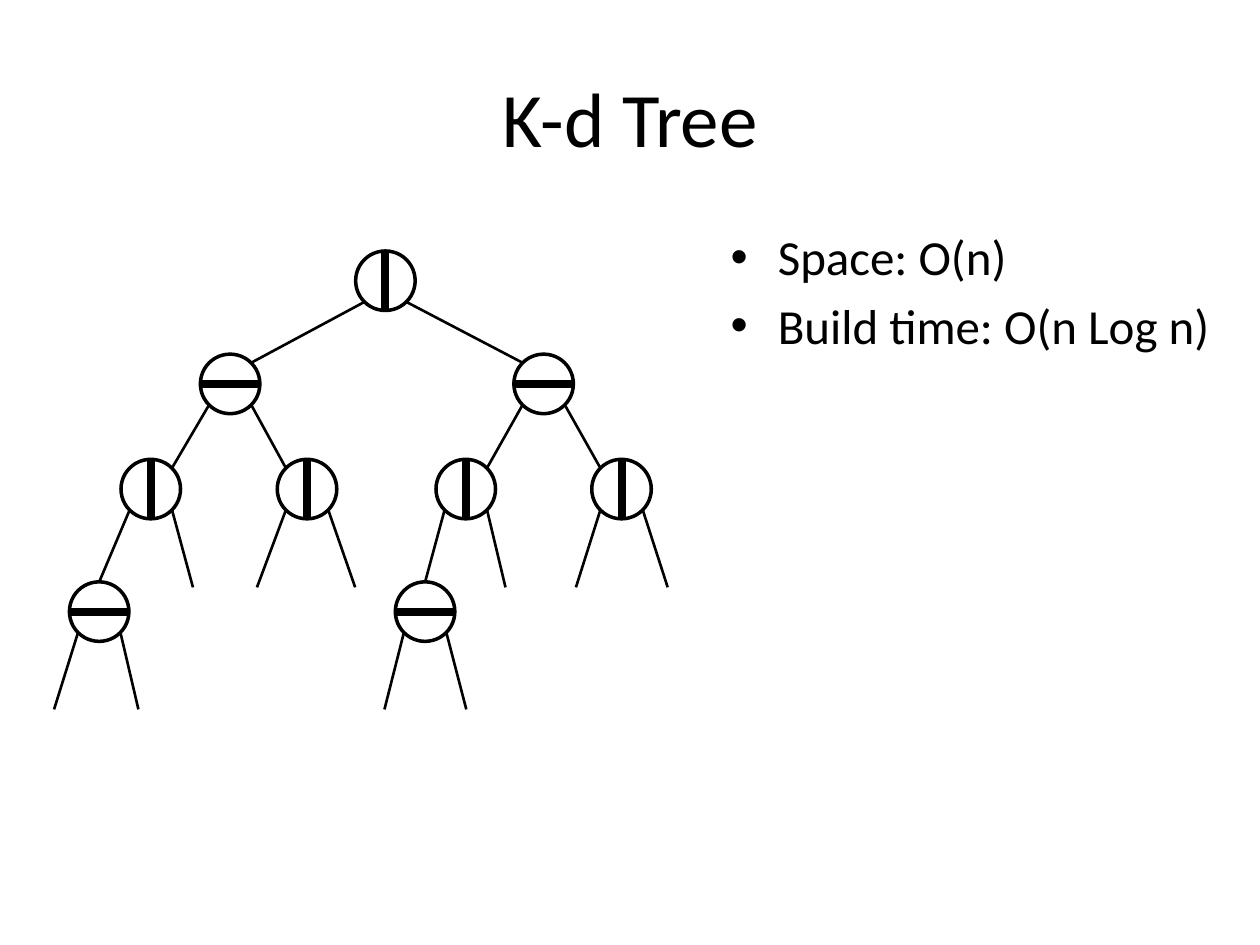
from lxml import etree
from pptx import Presentation
from pptx.dml.color import RGBColor
from pptx.enum.shapes import MSO_CONNECTOR, MSO_SHAPE
from pptx.enum.text import MSO_ANCHOR, PP_ALIGN
from pptx.oxml.ns import qn
from pptx.util import Cm, Pt

LINE = MSO_CONNECTOR.STRAIGHT
CIRCLE = MSO_SHAPE.OVAL
MIDDLE = MSO_ANCHOR.MIDDLE
CENTER = PP_ALIGN.CENTER
LEFT = PP_ALIGN.LEFT

BLACK = RGBColor(0x00, 0x00, 0x00)
FONT = "Calibri"
TITLE_ONLY = 5

RADIUS = 0.6
DIAGONAL = 0.43
LEVEL_Y = [5.66, 7.74, 9.86, 12.33]
LEAF_Y = {2: 11.84, 3: 14.3}

TREE = (7.77, [
    (4.64, [
        (3.04, [(2.0, [1.09, 2.79]), 3.89]),
        (6.19, [5.18, 7.16]),
    ]),
    (10.96, [
        (9.39, [(8.57, [7.75, 9.4]), 10.19]),
        (12.53, [11.61, 13.46]),
    ]),
])
BULLETS = ["Space: O(n)", "Build time: O(n Log n)"]


def format_font(font, size):
    values = {"name": FONT, "size": Pt(size), "bold": False}
    for name, value in values.items():
        setattr(font, name, value)
    font.color.rgb = BLACK


def place(shape, left, top, width, height):
    values = {"left": left, "top": top, "width": width, "height": height}
    for name, value in values.items():
        setattr(shape, name, Cm(value))


def add_line(shapes, start, end, weight):
    line = shapes.add_connector(LINE, *(Cm(value) for value in start + end))
    line.line.color.rgb = BLACK
    line.line.width = Pt(weight)
    etree.SubElement(line._element.spPr, qn("a:effectLst"))


def add_node(page, x, y, vertical):
    group = page.shapes.add_group_shape()
    circle = group.shapes.add_shape(
        CIRCLE, Cm(x - RADIUS), Cm(y - RADIUS), Cm(2 * RADIUS), Cm(2 * RADIUS))
    circle.shadow.inherit = False
    circle.fill.background()
    circle.line.color.rgb = BLACK
    circle.line.width = Pt(2)
    dx, dy = (0, RADIUS) if vertical else (RADIUS, 0)
    add_line(group.shapes, (x + dx, y + dy), (x - dx, y - dy), 4.5)


def add_tree(page, tree, level=0):
    x, children = tree
    y = LEVEL_Y[level]
    add_node(page, x, y, vertical=level % 2 == 0)
    for child, side in zip(children, (-1, 1)):
        start = (x + side * DIAGONAL, y + DIAGONAL)
        if not isinstance(child, tuple):
            add_line(page.shapes, start, (child, LEAF_Y[level]), 1.5)
            continue
        child_y = LEVEL_Y[level + 1]
        if level == 2:
            end = (child[0], child_y - RADIUS)
        else:
            end = (child[0] - side * DIAGONAL, child_y - DIAGONAL)
        add_line(page.shapes, start, end, 1.5)
        add_tree(page, child, level + 1)


def add_title(page, text):
    title = page.shapes.title
    place(title, 1.27, 0.76, 22.86, 3.18)
    frame = title.text_frame
    frame.text = text
    frame.vertical_anchor = MIDDLE
    para = frame.paragraphs[0]
    para.alignment = CENTER
    format_font(para.runs[0].font, 44)


def add_bullets(page, texts):
    box = page.shapes.add_textbox(Cm(14.48), Cm(4.45), Cm(10.39), Cm(12.57))
    frame = box.text_frame
    frame.word_wrap = True
    for index, text in enumerate(texts):
        para = frame.add_paragraph() if index else frame.paragraphs[0]
        para.alignment = LEFT
        para.space_before = Pt(5.6 if index else 0)
        properties = para._p.get_or_add_pPr()
        properties.set("marL", str(Cm(0.95)))
        properties.set("indent", str(-Cm(0.95)))
        etree.SubElement(properties, qn("a:buFont"), typeface="Arial")
        etree.SubElement(properties, qn("a:buChar"), char="•")
        span = para.add_run()
        span.text = text
        format_font(span.font, 28)


def main():
    deck = Presentation()
    deck.slide_width = Cm(25.4)
    deck.slide_height = Cm(19.05)
    page = deck.slides.add_slide(deck.slide_layouts[TITLE_ONLY])
    add_title(page, "K-d Tree")
    add_tree(page, TREE)
    add_bullets(page, BULLETS)
    deck.save("out.pptx")


if __name__ == "__main__":
    main()
